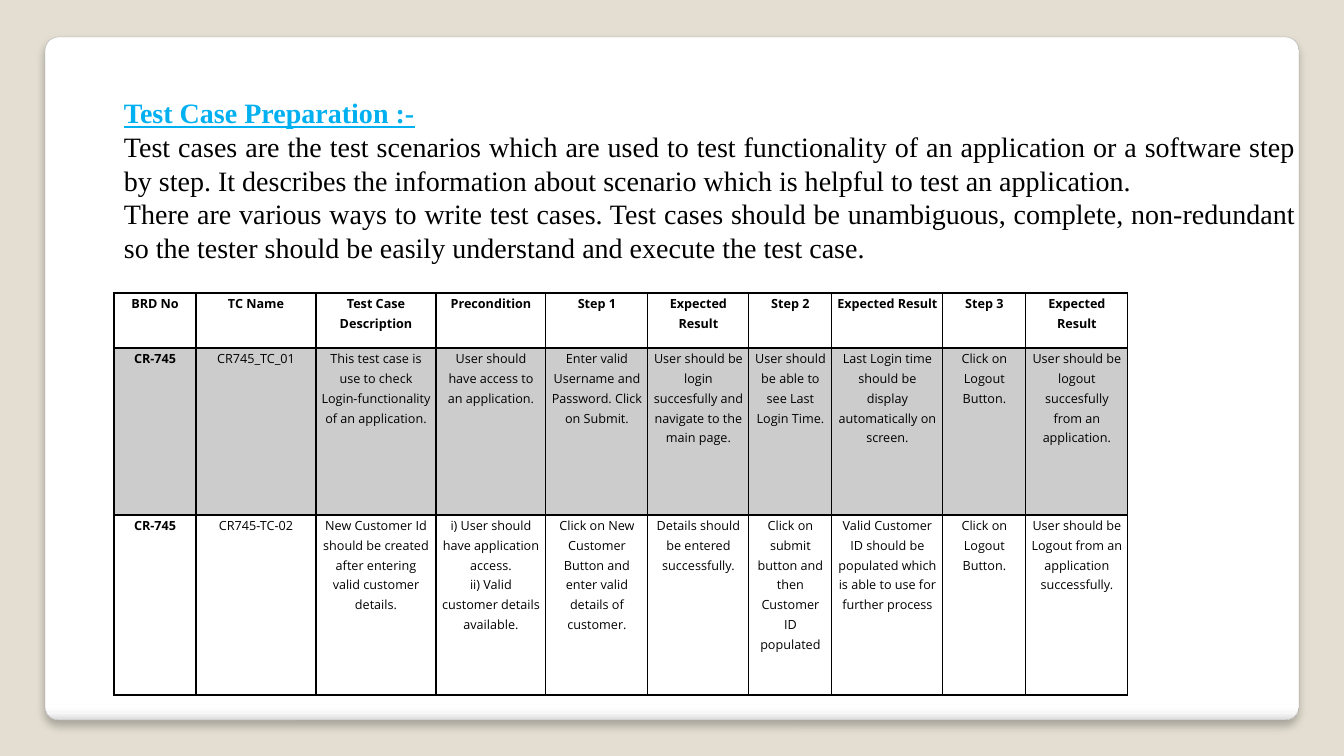
import pptx
import pptx.util
import pptx.dml.color
import pptx.enum.shapes
import pptx.enum.text
import pptx.oxml

SCALE = 12192000 / 1344
NS = 'xmlns:a="http://schemas.openxmlformats.org/drawingml/2006/main"'
ALIGN = pptx.enum.text.PP_ALIGN


def color(code):
    return pptx.dml.color.RGBColor.from_string(code)


def write(frame, text, size=20, font="Times New Roman", code="000000",
          bold=False, under=False, align=ALIGN.JUSTIFY, space=1.0):
    for line in text.split("\n"):
        para = frame.paragraphs[-1]
        if para.runs:
            para = frame.add_paragraph()
        para.alignment = align
        para.line_spacing = space
        run = para.add_run()
        run.text = line
        run.font.size = pptx.util.Pt(size)
        run.font.name = font
        run.font.bold = bold
        run.font.underline = under
        run.font.color.rgb = color(code)


deck = pptx.Presentation()
deck.slide_width = round(1344 * SCALE)
deck.slide_height = round(756 * SCALE)
slide = deck.slides.add_slide(deck.slide_layouts[6])
slide.background.fill.solid()
slide.background.fill.fore_color.rgb = color("E3DED1")

box = [round(n * SCALE) for n in (45, 37, 1254, 683)]
panel = slide.shapes.add_shape(pptx.enum.shapes.MSO_SHAPE.ROUNDED_RECTANGLE, *box)
panel.adjustments[0] = 0.02
panel.shadow.inherit = False
panel.fill.gradient()
panel.fill.gradient_angle = 270
stops = panel.fill._fill._gradFill.find(pptx.oxml.ns.qn("a:gsLst"))
for stop in list(stops):
    stops.remove(stop)
for place, code in ((0, "FFFFFF"), (98, "FFFFFF"), (99, "F7F7F7"), (100, "DADADA")):
    stops.append(pptx.oxml.parse_xml(
        f'<a:gs {NS} pos="{place * 1000}"><a:srgbClr val="{code}"/></a:gs>'))
panel.line.color.rgb = color("A4A4A4")
panel.line.width = pptx.util.Pt(0.16)
effects = panel._element.spPr.find(pptx.oxml.ns.qn("a:effectLst"))
effects.append(pptx.oxml.parse_xml(
    f'<a:outerShdw {NS} blurRad="76200" dist="50800" dir="5400000" algn="t" rotWithShape="0">'
    '<a:srgbClr val="000000"><a:alpha val="25000"/></a:srgbClr></a:outerShdw>'))

box = [round(n * SCALE) for n in (114, 91, 1192, 179)]
intro = slide.shapes.add_textbox(*box).text_frame
intro.word_wrap = True
intro.auto_size = pptx.enum.text.MSO_AUTO_SIZE.SHAPE_TO_FIT_TEXT
write(intro, "Test Case Preparation :-", code="00B0F0", bold=True, under=True,
      align=ALIGN.LEFT)
write(intro, "Test cases are the test scenarios which are used to test functionality of an "
      "application or a software step by step. It describes the information about scenario "
      "which is helpful to test an application.\n"
      "There are various ways to write test cases. Test cases should be unambiguous, complete, "
      "non-redundant so the tester should be easily understand and execute the test case.")

cases = [
    ["BRD No", "TC Name", "Test Case Description", "Precondition", "Step 1",
     "Expected Result", "Step 2", "Expected Result", "Step 3", "Expected Result"],
    ["CR-745", "CR745_TC_01",
     "This test case is use to check Login-functionality of an application.",
     "User should have access to an application.",
     "Enter valid Username and Password. Click on Submit.",
     "User should be login succesfully and navigate to the main page.",
     "User should be able to see Last Login Time.",
     "Last Login time should be display automatically on screen.",
     "Click on Logout Button.",
     "User should be logout succesfully from an application."],
    ["CR-745", "CR745-TC-02",
     "New Customer Id should be created after entering valid customer details.",
     "i) User should have application access.\nii) Valid customer details available.",
     "Click on New Customer Button and enter valid details of customer.",
     "Details should be entered successfully.",
     "Click on submit button and then Customer ID populated",
     "Valid Customer ID should be populated which is able to use for further process",
     "Click on Logout Button.",
     "User should be Logout from an application successfully."],
]
widths = [82, 120, 120, 110, 102, 101, 83, 111, 83, 102]
heights = [55, 167, 180]
box = [round(n * SCALE) for n in (114, 293, sum(widths), sum(heights))]
table = slide.shapes.add_table(len(heights), len(widths), *box).table
table.first_row = False
table.horz_banding = False
for column, width in zip(table.columns, widths):
    column.width = round(width * SCALE)
for row, height in zip(table.rows, heights):
    row.height = round(height * SCALE)

for r, case in enumerate(cases):
    for c, text in enumerate(case):
        cell = table.cell(r, c)
        cell.margin_left = cell.margin_right = round(5 * SCALE)
        cell.margin_top = cell.margin_bottom = 0
        write(cell.text_frame, text, size=9, font="Open Sans",
              bold=r == 0 or c == 0, align=ALIGN.CENTER, space=1.15)
        props = cell._tc.get_or_add_tcPr()
        for side in "LRTB":
            thick = 2 if (r, side) in ((0, "B"), (1, "T")) else 1
            props.append(pptx.oxml.parse_xml(
                f'<a:ln{side} {NS} w="{thick * 12700}"><a:solidFill>'
                f'<a:srgbClr val="000000"/></a:solidFill></a:ln{side}>'))
        if r == 1:
            cell.fill.solid()
            cell.fill.fore_color.rgb = color("000000")
            shade = props.find(pptx.oxml.ns.qn("a:solidFill"))
            shade[0].append(pptx.oxml.parse_xml(f'<a:alpha {NS} val="20000"/>'))
        else:
            cell.fill.background()

deck.save("out.pptx")
